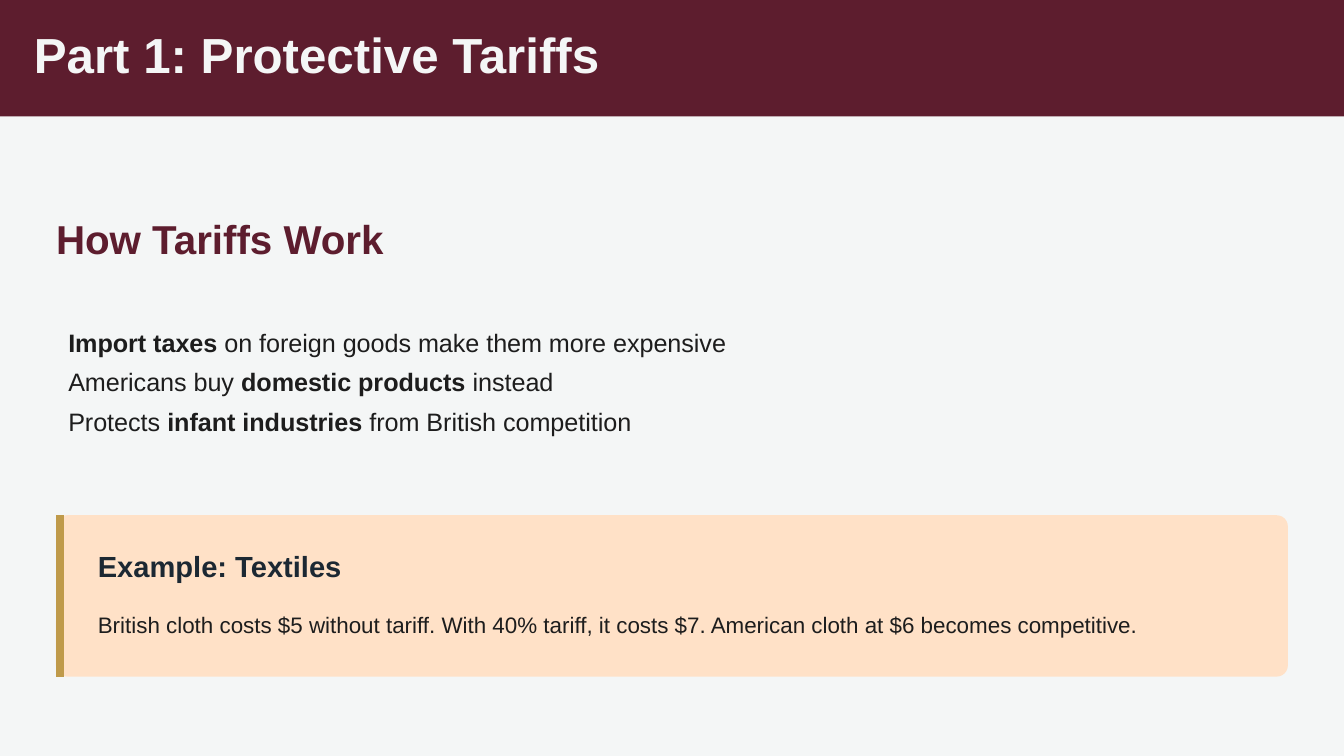
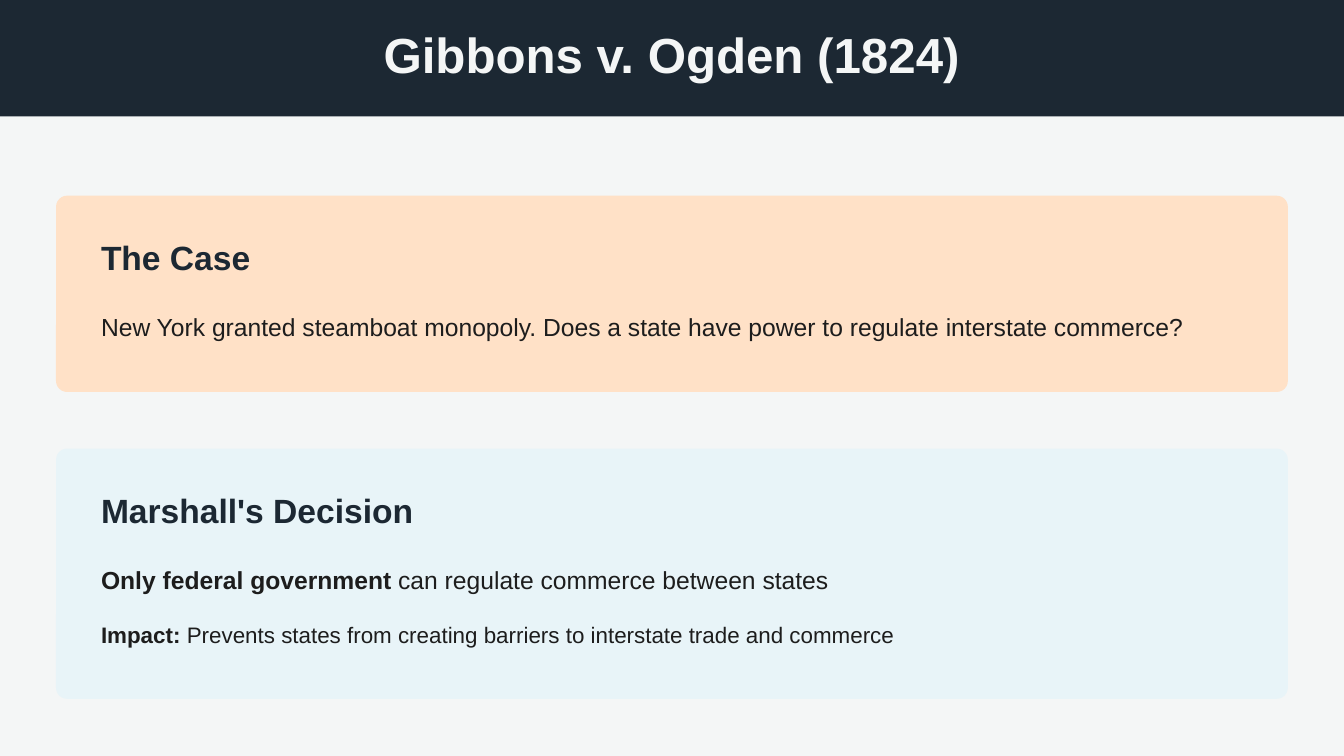
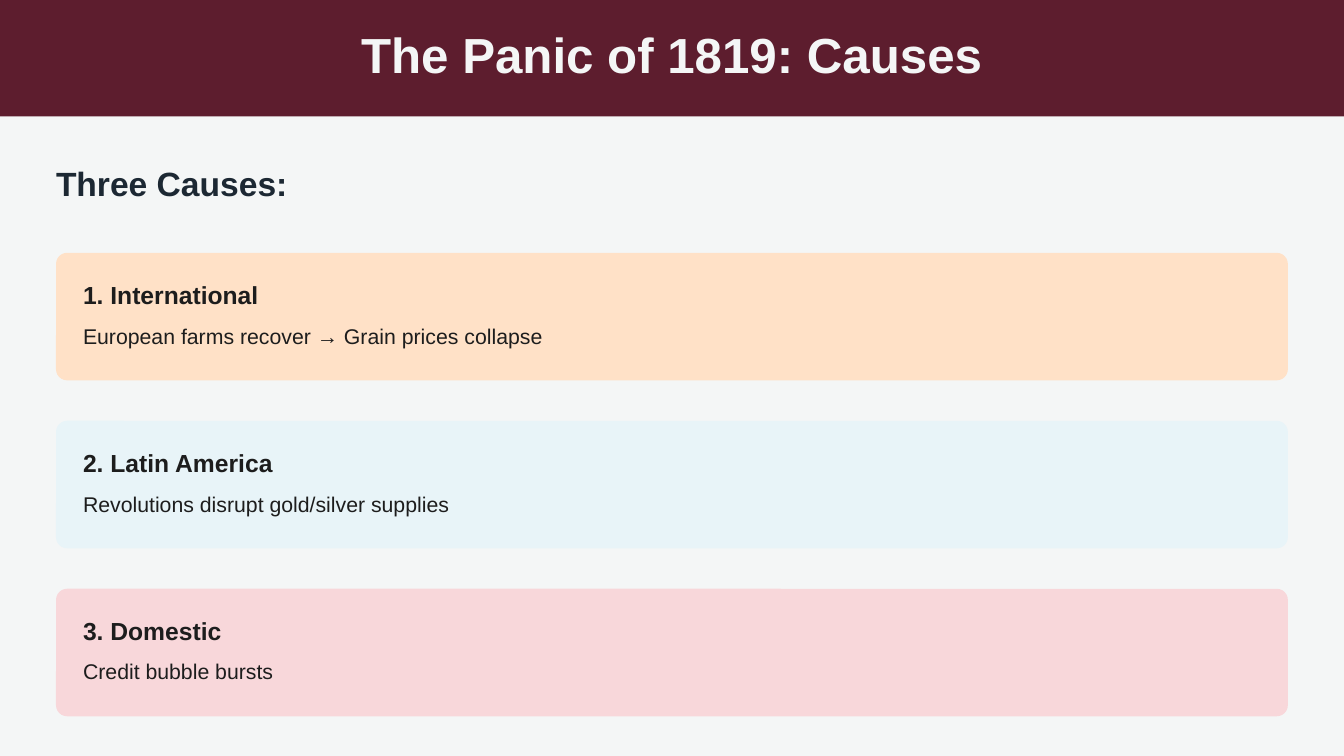
from dataclasses import dataclass

from lxml.etree import SubElement
from pptx import Presentation
from pptx.dml.color import RGBColor
from pptx.enum.shapes import MSO_CONNECTOR, MSO_SHAPE
from pptx.enum.text import MSO_ANCHOR, MSO_AUTO_SIZE, PP_ALIGN
from pptx.oxml.ns import qn
from pptx.util import Cm, Pt

PAPER = RGBColor(0xF4, 0xF6, 0xF6)
WINE = RGBColor(0x5D, 0x1D, 0x2E)
NAVY = RGBColor(0x1C, 0x28, 0x33)
INK = RGBColor(0x1D, 0x1D, 0x1D)
GOLD = RGBColor(0xBF, 0x9A, 0x4A)
PEACH = RGBColor(0xFF, 0xE1, 0xC7)
ICE = RGBColor(0xE8, 0xF4, 0xF8)
ROSE = RGBColor(0xF8, 0xD7, 0xDA)

FONT = "Arial"
SLIDE_WIDTH, SLIDE_HEIGHT = 25.4, 14.29
MARGIN = 1.06
CONTENT_WIDTH = SLIDE_WIDTH - 2 * MARGIN
BAND_HEIGHT = 2.2
TITLE_LEFT, TITLE_WIDTH = 0.64, 12.34
CORNER = 0.21
BAR_POINTS = 4.5


@dataclass
class TextStyle:
    size: float
    color: RGBColor
    leading: float
    width: float
    height: float
    bold: bool = False
    before: float = 0
    after: float = 0
    inset: float = 0


TITLE = TextStyle(26.4, PAPER, 26.4, TITLE_WIDTH, 0.94, bold=True)
TOPIC = TextStyle(21.6, WINE, 24, 11.91, 0.84, bold=True, after=18)
LIST = TextStyle(13.5, INK, 21, CONTENT_WIDTH, 2.44, inset=0.23)
EXAMPLE_HEAD = TextStyle(15.6, NAVY, 18.7, 22.3, 0.66, bold=True, after=9.6)
EXAMPLE_BODY = TextStyle(12, INK, 19.2, 22.3, 0.69, before=3, after=3)
CASE_HEAD = TextStyle(18, NAVY, 20, 11.91, 0.71, bold=True, after=12)
CASE_BODY = TextStyle(13.2, INK, 22.4, 22.02, 0.79, before=3, after=3)
CASE_IMPACT = TextStyle(12, INK, 16.8, 22.02, 0.58, before=3, after=3)
CAUSE_HEAD = TextStyle(13.2, INK, 15.8, 22.71, 0.56, bold=True, after=4.8)
CAUSE_BODY = TextStyle(11.4, INK, 16, 22.71, 0.56, before=3, after=3)

TARIFF_POINTS = [
    "**Import taxes** on foreign goods make them more expensive",
    "Americans buy **domestic products** instead",
    "Protects **infant industries** from British competition",
]
TEXTILES = [
    (EXAMPLE_HEAD, 0.63, "Example: Textiles"),
    (EXAMPLE_BODY, 1.65, "British cloth costs $5 without tariff. With 40% tariff, "
                         "it costs $7. American cloth at $6 becomes competitive."),
]
THE_CASE = [
    (CASE_HEAD, 0.84, "The Case"),
    (CASE_BODY, 1.96, "New York granted steamboat monopoly. Does a state have "
                      "power to regulate interstate commerce?"),
]
DECISION = [
    (CASE_HEAD, 0.84, "Marshall's Decision"),
    (CASE_BODY, 1.97, "**Only federal government** can regulate commerce between states"),
    (CASE_IMPACT, 3.18, "**Impact:** Prevents states from creating barriers to "
                        "interstate trade and commerce"),
]
CAUSES = [
    ("1. International", "European farms recover → Grain prices collapse", PEACH),
    ("2. Latin America", "Revolutions disrupt gold/silver supplies", ICE),
    ("3. Domestic", "Credit bubble bursts", ROSE),
]
CAUSES_TOP, CAUSE_PITCH, CAUSE_HEIGHT = 4.78, 3.175, 2.41


def write(holder, style, lines, left, top, align=PP_ALIGN.LEFT):
    holder.left, holder.top = Cm(left), Cm(top)
    holder.width, holder.height = Cm(style.width), Cm(style.height)
    frame = holder.text_frame
    frame.word_wrap = True
    frame.auto_size = MSO_AUTO_SIZE.NONE
    frame.vertical_anchor = MSO_ANCHOR.TOP
    frame.margin_left = Cm(style.inset)
    frame.margin_top = frame.margin_right = frame.margin_bottom = 0
    for index, line in enumerate(lines):
        paragraph = frame.add_paragraph() if index else frame.paragraphs[0]
        paragraph.alignment = align
        paragraph.line_spacing = Pt(style.leading)
        paragraph.space_before = Pt(style.before)
        paragraph.space_after = Pt(style.after)
        paragraph.font.name = FONT
        paragraph.font.size = Pt(style.size)
        paragraph.font.bold = style.bold
        paragraph.font.color.rgb = style.color
        for part, words in enumerate(line.split("**")):
            if words:
                run = paragraph.add_run()
                run.text = words
                if part % 2:
                    run.font.bold = True


def add_text(slide, style, text, left, top):
    write(slide.shapes.add_textbox(0, 0, 0, 0), style, [text], left, top)


def add_block(slide, preset, left, top, width, height, fill):
    block = slide.shapes.add_shape(preset, Cm(left), Cm(top), Cm(width), Cm(height))
    block.shadow.inherit = False
    block.fill.solid()
    block.fill.fore_color.rgb = fill
    block.line.fill.background()
    return block


def add_card(slide, top, height, fill, padding, lines):
    card = add_block(slide, MSO_SHAPE.ROUNDED_RECTANGLE, MARGIN, top,
                     CONTENT_WIDTH, height, fill)
    card.adjustments[0] = CORNER / height
    for style, offset, text in lines:
        add_text(slide, style, text, MARGIN + padding, top + offset)


def add_bar(slide, top, height):
    center = Cm(MARGIN) + Pt(BAR_POINTS / 2)
    bar = slide.shapes.add_connector(MSO_CONNECTOR.STRAIGHT, center, Cm(top),
                                     center, Cm(top + height))
    bar.line.color.rgb = GOLD
    bar.line.width = Pt(BAR_POINTS)
    SubElement(bar.element.spPr, qn("a:effectLst"))


def add_slide(deck, layout, title, band_color, centered=True):
    slide = deck.slides.add_slide(deck.slide_layouts.get_by_name(layout))
    band = add_block(slide, MSO_SHAPE.RECTANGLE, 0, 0, SLIDE_WIDTH, BAND_HEIGHT, band_color)
    slide.shapes.title.element.addprevious(band.element)
    left = (SLIDE_WIDTH - TITLE_WIDTH) / 2 if centered else TITLE_LEFT
    align = PP_ALIGN.CENTER if centered else PP_ALIGN.LEFT
    write(slide.shapes.title, TITLE, [title], left, 0.64, align)
    return slide


def add_tariffs(deck):
    slide = add_slide(deck, "Title and Content", "Part 1: Protective Tariffs", WINE,
                      centered=False)
    add_text(slide, TOPIC, "How Tariffs Work", MARGIN, 4.11)
    points = slide.placeholders[1]
    write(points, LIST, TARIFF_POINTS, MARGIN, 6.02)
    for paragraph in points.text_frame.paragraphs:
        properties = paragraph._p.get_or_add_pPr()
        properties.set("marL", "0")
        properties.set("indent", "0")
        bullet = properties.makeelement(qn("a:buNone"), {})
        properties.find(qn("a:defRPr")).addprevious(bullet)
    add_card(slide, 9.74, 3.05, PEACH, 0.79, TEXTILES)
    add_bar(slide, 9.74, 3.05)


def add_court_case(deck):
    slide = add_slide(deck, "Title Only", "Gibbons v. Ogden (1824)", NAVY)
    add_card(slide, 3.7, 3.71, PEACH, 0.85, THE_CASE)
    add_card(slide, 8.48, 4.73, ICE, 0.85, DECISION)


def add_panic(deck):
    slide = add_slide(deck, "Title Only", "The Panic of 1819: Causes", WINE)
    add_text(slide, CASE_HEAD, "Three Causes:", MARGIN, 3.14)
    for index, (cause, effect, fill) in enumerate(CAUSES):
        lines = [(CAUSE_HEAD, 0.51, cause), (CAUSE_BODY, 1.24, effect)]
        add_card(slide, CAUSES_TOP + index * CAUSE_PITCH, CAUSE_HEIGHT, fill, 0.51, lines)


def main():
    deck = Presentation()
    deck.slide_width, deck.slide_height = Cm(SLIDE_WIDTH), Cm(SLIDE_HEIGHT)
    background = deck.slide_master.background.fill
    background.solid()
    background.fore_color.rgb = PAPER
    add_tariffs(deck)
    add_court_case(deck)
    add_panic(deck)
    deck.save("out.pptx")


if __name__ == "__main__":
    main()
